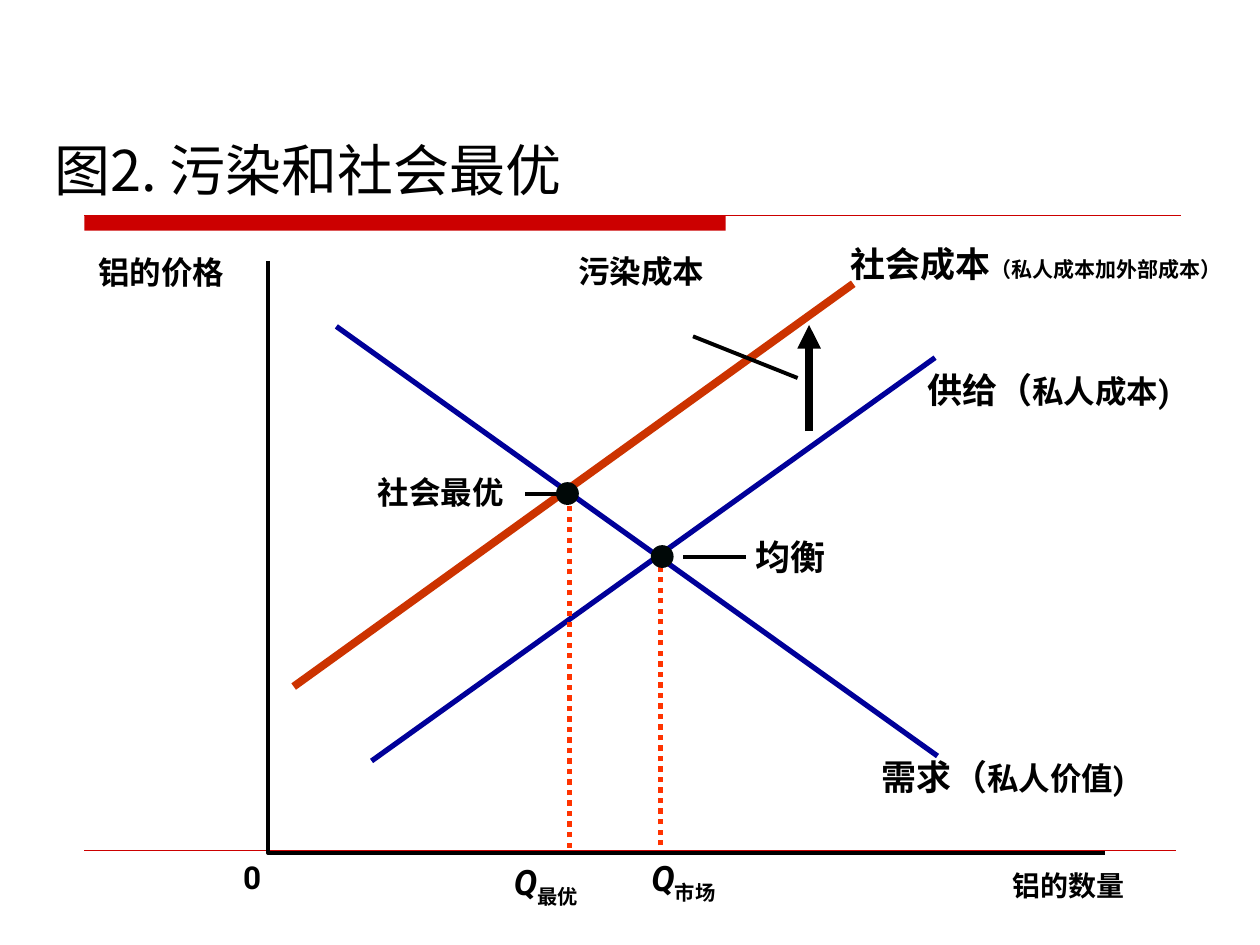
"""Build the slide on pollution and the social optimum for the aluminium market."""
from lxml import etree
from pptx import Presentation
from pptx.dml.color import RGBColor
from pptx.enum.dml import MSO_LINE
from pptx.enum.shapes import MSO_CONNECTOR, MSO_SHAPE
from pptx.enum.text import MSO_ANCHOR
from pptx.oxml.ns import qn
from pptx.util import Cm, Pt

STRAIGHT = MSO_CONNECTOR.STRAIGHT
RECT, OVAL = MSO_SHAPE.RECTANGLE, MSO_SHAPE.OVAL
DOTTED = MSO_LINE.ROUND_DOT
TOP, BOTTOM = MSO_ANCHOR.TOP, MSO_ANCHOR.BOTTOM

BLACK, DOT, RED = "000000", "000807", "CC0000"
BLUE, ORANGE, GUIDE = "000099", "CC3300", "FF3300"


def rgb(value):
    return RGBColor.from_string(value)


class Diagram:
    latin, east_asian = "Roboto", "Noto Sans CJK SC"

    def __init__(self, s):
        self.s = s

    def line(self, x1, y1, x2, y2, color=BLACK, width=2.25, dash=None, arrow=False):
        sp = self.s.shapes.add_connector(STRAIGHT, Cm(x1), Cm(y1), Cm(x2), Cm(y2))
        sp.line.color.rgb = rgb(color)
        sp.line.width = Pt(width)
        if dash:
            sp.line.dash_style = dash
        if arrow:
            ln = sp.line._get_or_add_ln()
            etree.SubElement(ln, qn("a:tailEnd"), type="triangle")
        etree.SubElement(sp._element.spPr, qn("a:effectLst"))

    def shape(self, kind, x, y, w, h, color):
        sp = self.s.shapes.add_shape(kind, Cm(x), Cm(y), Cm(w), Cm(h))
        sp.shadow.inherit = False
        sp.fill.solid()
        sp.fill.fore_color.rgb = rgb(color)
        sp.line.fill.background()

    def dot(self, x, y, size=0.46):
        self.shape(OVAL, x - size / 2, y - size / 2, size, size, DOT)

    def axes(self, x, top, base, right):
        fb = self.s.shapes.build_freeform(Cm(x), Cm(top))
        fb.add_line_segments([(Cm(x), Cm(base)), (Cm(right), Cm(base))], close=False)
        sp = fb.convert_to_shape()
        sp.shadow.inherit = False
        sp.fill.background()
        sp.line.color.rgb = rgb(BLACK)
        sp.line.width = Pt(2.25)

    def text(self, x, y, w, h, *runs, font=None, bold=True, wrap=False,
             anchor=TOP, inset=(0, 0), spacing=1.0):
        tf = self.s.shapes.add_textbox(Cm(x), Cm(y), Cm(w), Cm(h)).text_frame
        dx, dy = map(Cm, inset)
        frame = dict(word_wrap=wrap, vertical_anchor=anchor, margin_left=dx,
                     margin_right=dx, margin_top=dy, margin_bottom=dy)
        for key, value in frame.items():
            setattr(tf, key, value)
        p = tf.paragraphs[0]
        p.line_spacing = spacing
        for content, size, *extra in runs:
            r = p.add_run()
            r.text = content
            style = dict(name=font or self.latin, size=Pt(size), bold=bold)
            style.update(*extra)
            baseline = style.pop("baseline", None)
            for key, value in style.items():
                setattr(r.font, key, value)
            r.font.color.rgb = rgb(BLACK)
            rPr = r._r.get_or_add_rPr()
            etree.SubElement(rPr, qn("a:ea"), typeface=self.east_asian)
            if baseline:
                rPr.set("baseline", str(baseline))

    def quantity(self, x, y, name):
        self.text(x, y, 2.6, 0.9, ("Q", 20, {"italic": True}),
                  (name, 20, {"baseline": -25000}))


def main():
    prs = Presentation()
    prs.slide_width, prs.slide_height = Cm(25.4), Cm(19.05)
    d = Diagram(prs.slides.add_slide(prs.slide_layouts[6]))

    d.shape(RECT, 1.7, 4.34, 12.93, 0.31, RED)
    d.line(1.7, 4.34, 23.8, 4.34, RED, 0.75)
    d.line(1.7, 17.15, 23.7, 17.15, RED, 0.25)
    d.text(0.84, 0.71, 23.93, 3.51, ("图2. 污染和社会最优", 32), font=d.east_asian,
           bold=False, wrap=True, anchor=BOTTOM, inset=(0.25, 0.13), spacing=1.2)

    d.line(13.31, 17.04, 13.31, 11.23, GUIDE, 3, DOTTED)
    d.line(18.85, 7.21, 7.49, 15.34, BLUE, 3)
    d.axes(5.41, 5.26, 17.2, 22.28)
    d.line(17.2, 5.72, 5.92, 13.84, ORANGE, 4.5)
    d.line(6.78, 6.58, 18.9, 15.24, BLUE, 3)
    d.line(11.48, 17.09, 11.48, 9.96, GUIDE, 3, DOTTED)

    d.line(13.97, 6.78, 16.08, 7.62)
    d.line(16.31, 8.69, 16.31, 6.55, width=4.5, arrow=True)
    d.line(13.77, 11.23, 15.04, 11.23)
    d.line(10.59, 9.96, 11.35, 9.96)
    d.dot(13.35, 11.22)
    d.dot(11.44, 9.95)

    d.quantity(13.13, 17.27, "市场")
    d.quantity(10.36, 17.35, "最优")
    d.text(20.42, 17.5, 2.26, 0.69, ("铝的数量", 16))
    d.text(4.9, 17.3, 0.38, 0.76, ("0", 18))
    d.text(1.98, 5.11, 2.54, 0.76, ("铝的价格", 18))
    d.text(11.66, 5.08, 2.54, 0.76, ("污染成本", 18))
    d.text(7.62, 9.53, 2.54, 0.76, ("社会最优", 18))
    d.text(15.24, 10.8, 1.42, 0.84, ("均衡", 20))
    d.text(17.78, 15.24, 5.26, 0.84, ("需求（", 20), ("私人价值)", 18))
    d.text(18.69, 7.42, 5.14, 0.84, ("供给（", 20), ("私人成本)", 18))
    d.text(17.15, 4.88, 7.49, 0.84, ("社会成本", 20), ("（私人成本加外部成本）", 12))

    prs.save("out.pptx")


if __name__ == "__main__":
    main()
